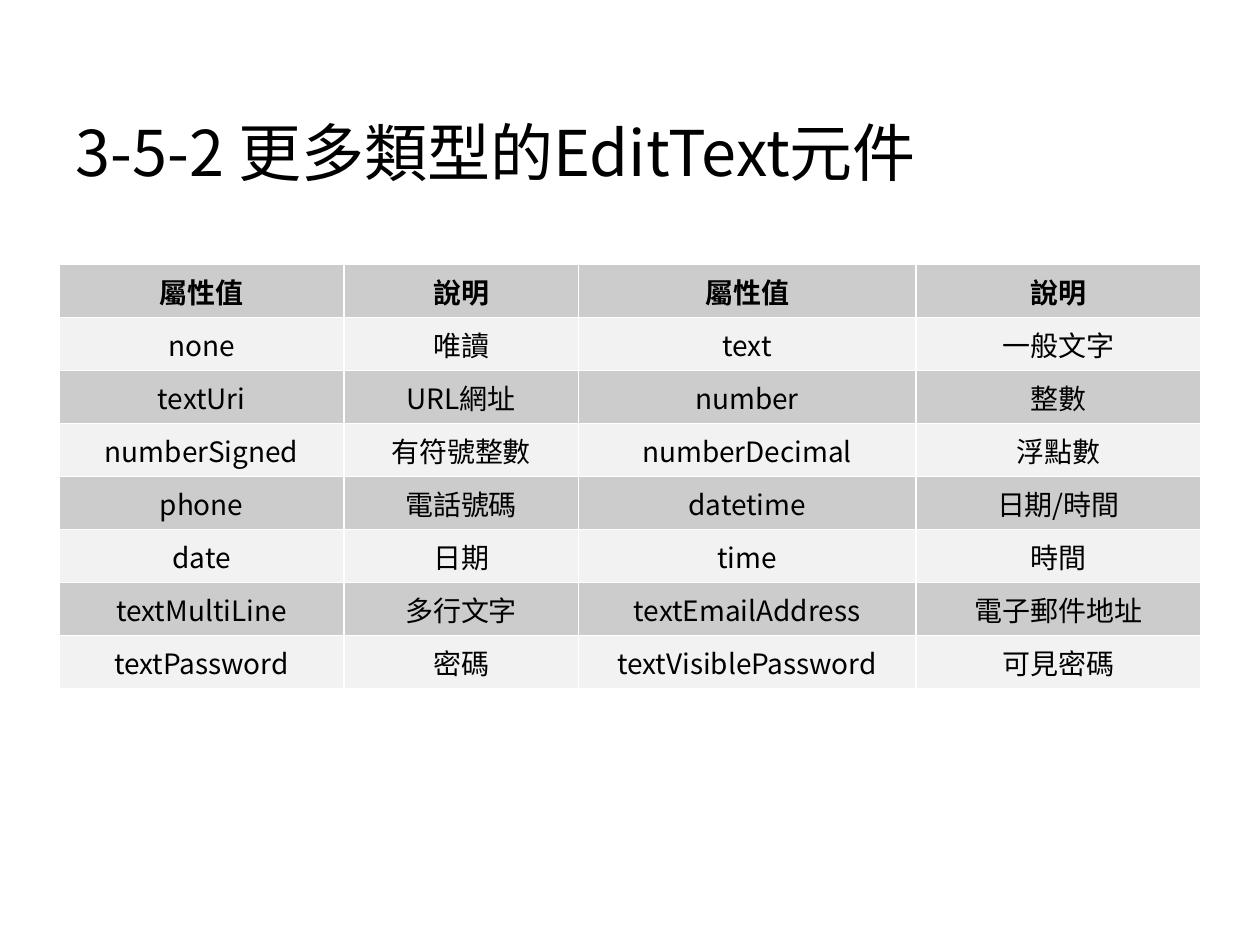
from lxml import etree
from pptx import Presentation
from pptx.dml.color import RGBColor
from pptx.enum.text import MSO_ANCHOR, MSO_AUTO_SIZE, PP_ALIGN
from pptx.oxml.ns import qn
from pptx.util import Inches, Pt

BOTTOM, TOP = MSO_ANCHOR.BOTTOM, MSO_ANCHOR.TOP
NO_AUTOFIT = MSO_AUTO_SIZE.NONE
LEFT, CENTER = PP_ALIGN.LEFT, PP_ALIGN.CENTER

BLACK = RGBColor(0x00, 0x00, 0x00)
WHITE = RGBColor(0xFF, 0xFF, 0xFF)
DARK_BAND = RGBColor(0xCC, 0xCC, 0xCC)
LIGHT_BAND = RGBColor(0xF2, 0xF2, 0xF2)

FONT = "Noto Sans CJK SC"
TITLE_FONT = {"name": FONT, "size": Pt(36), "bold": False}
HEADER_FONT = {"name": FONT, "size": Pt(16), "bold": True}
BODY_FONT = {**HEADER_FONT, "bold": False}

SLIDE_WIDTH, SLIDE_HEIGHT = Inches(10), Inches(7.5)
COLUMN_WIDTHS = [2.26, 1.86, 2.68, 2.26]
ROW_HEIGHT = 0.42
BORDER_WIDTH = Pt(0.96)

INPUT_TYPES = [
    ("屬性值", "說明", "屬性值", "說明"),
    ("none", "唯讀", "text", "一般文字"),
    ("textUri", "URL網址", "number", "整數"),
    ("numberSigned", "有符號整數", "numberDecimal", "浮點數"),
    ("phone", "電話號碼", "datetime", "日期/時間"),
    ("date", "日期", "time", "時間"),
    ("textMultiLine", "多行文字", "textEmailAddress", "電子郵件地址"),
    ("textPassword", "密碼", "textVisiblePassword", "可見密碼"),
]


def write_text(frame, text, font_format, alignment):
    paragraph = frame.paragraphs[0]
    paragraph.alignment = alignment
    run = paragraph.add_run()
    run.text = text
    for attribute, value in font_format.items():
        setattr(run.font, attribute, value)
    run.font.color.rgb = BLACK
    # Chinese characters take their font from the East Asian slot
    east_asian = etree.SubElement(run.font._element, qn("a:ea"))
    east_asian.set("typeface", FONT)


def add_borders(cell, sides):
    properties = cell._tc.get_or_add_tcPr()
    for side in sides:
        line = etree.SubElement(properties, qn(f"a:ln{side}"), w=str(BORDER_WIDTH))
        fill = etree.SubElement(line, qn("a:solidFill"))
        etree.SubElement(fill, qn("a:srgbClr"), val=str(WHITE))


def add_title(slide, text):
    title = slide.shapes.title
    title.left, title.top = int(SLIDE_WIDTH * 0.05), int(SLIDE_HEIGHT * 0.04)
    title.width, title.height = int(SLIDE_WIDTH * 0.9), Inches(1.25)
    frame = title.text_frame
    frame.auto_size = NO_AUTOFIT
    frame.vertical_anchor = BOTTOM
    write_text(frame, text, TITLE_FONT, LEFT)


def add_type_table(slide, rows):
    row_count, column_count = len(rows), len(COLUMN_WIDTHS)
    width = Inches(sum(COLUMN_WIDTHS))
    table = slide.shapes.add_table(
        row_count, column_count, (SLIDE_WIDTH - width) // 2, Inches(2.1),
        width, Inches(ROW_HEIGHT * row_count)).table
    for column, column_width in zip(table.columns, COLUMN_WIDTHS):
        column.width = Inches(column_width)

    for r, row in enumerate(rows):
        table.rows[r].height = Inches(ROW_HEIGHT)
        for c, text in enumerate(row):
            cell = table.cell(r, c)
            # Rules run only between cells; they come before the fill
            inner_sides = {"L": c > 0, "R": c < column_count - 1,
                           "T": r > 0, "B": r < row_count - 1}
            add_borders(cell, [side for side, inner in inner_sides.items() if inner])
            cell.fill.solid()
            cell.fill.fore_color.rgb = LIGHT_BAND if r % 2 else DARK_BAND
            cell.vertical_anchor = TOP
            write_text(cell.text_frame, text, BODY_FONT if r else HEADER_FONT, CENTER)


def main():
    presentation = Presentation()
    presentation.slide_width, presentation.slide_height = SLIDE_WIDTH, SLIDE_HEIGHT
    title_only = presentation.slide_layouts[5]
    slide = presentation.slides.add_slide(title_only)
    add_type_table(slide, INPUT_TYPES)
    add_title(slide, "3-5-2 更多類型的EditText元件")
    presentation.save("out.pptx")


if __name__ == "__main__":
    main()
